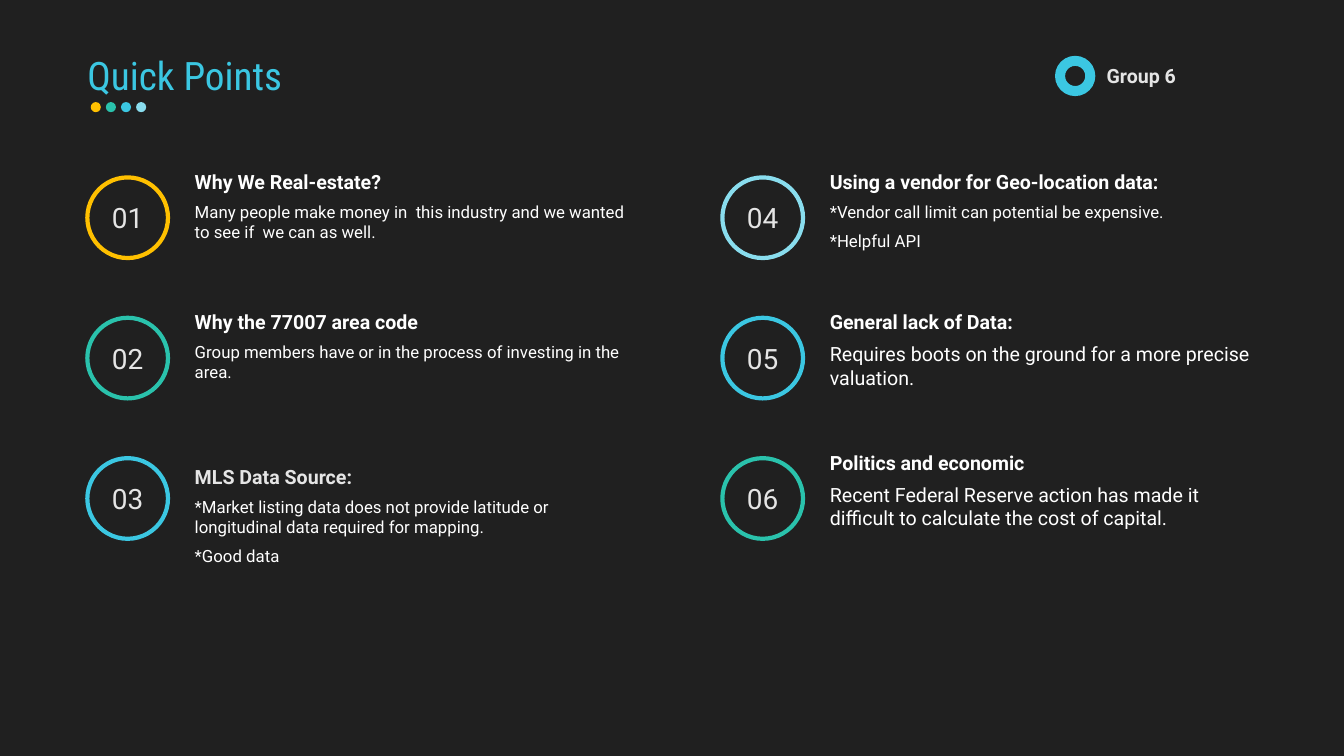
from pptx import Presentation
from pptx.dml.color import RGBColor
from pptx.enum import shapes as sh, text as tx
from pptx.util import Pt

DARK = RGBColor(0x20, 0x20, 0x20)
WHITE = RGBColor(0xFF, 0xFF, 0xFF)
PALE = RGBColor(0xE5, 0xE5, 0xE5)
GOLD = RGBColor(0xFF, 0xC0, 0x00)
GREEN = RGBColor(0x2A, 0xC2, 0xAC)
BLUE = RGBColor(0x3B, 0xC7, 0xE2)
SKY = RGBColor(0x89, 0xDD, 0xEE)

# Content
TITLE = "Quick Points"
TEAM = "Group 6"
DOTS = [GOLD, GREEN, BLUE, SKY]
# ring colour, heading, heading colour, lines, line size, text top from ring, text height
POINTS = [
    (GOLD, "Why We Real-estate?", WHITE,
     ["Many people make money in  this industry and we wanted to see if  we can as well."],
     18, -11.8, 85.7),
    (GREEN, "Why the 77007 area code", WHITE,
     ["Group members have or in the process of investing in the area."],
     18, -11.8, 85.7),
    (BLUE, "MLS Data Source:", PALE,
     ["*Market listing data does not provide latitude or longitudinal data required for mapping.",
      "*Good data"],
     18, 3.6, 116.6),
    (SKY, "Using a vendor for Geo-location data:", WHITE,
     ["*Vendor call limit can potential be expensive.", "*Helpful API"],
     18, -11.8, 94.3),
    (BLUE, "General lack of Data:", WHITE,
     ["Requires boots on the ground for a more precise valuation."],
     21, -11.8, 158.4),
    (GREEN, "Politics and economic", WHITE,
     ["Recent Federal Reserve action has made it difficult to calculate the cost of capital."],
     21, -11.8, 123.8),
]

# Grid
LEFT, TOP = 93.6, 190.1
COL, ROW, ROWS = 680.4, 150.4, 3
RING, INDENT, WIDTH = 86.4, 108, 475.2


def style(para, size, color, bold=False, face="Roboto"):
    font = para.font
    font.name, font.size, font.bold = face, Pt(size), bold
    font.color.rgb = color


def add_shape(slide, kind, x, y, size, fill=None, line=None):
    shape = slide.shapes.add_shape(kind, Pt(x), Pt(y), Pt(size), Pt(size))
    shape.shadow.inherit = False
    if fill is None:
        shape.fill.background()
    else:
        shape.fill.solid()
        shape.fill.fore_color.rgb = fill
    if line is None:
        shape.line.fill.background()
    else:
        shape.line.color.rgb = line
        shape.line.width = Pt(4.5)
    return shape


def add_text(slide, x, y, w, h, rows, after=0):
    """Each row is text, size, colour, bold."""
    frame = slide.shapes.add_textbox(Pt(x), Pt(y), Pt(w), Pt(h)).text_frame
    frame.word_wrap = True
    frame.margin_right = 0
    frame.text = "\n".join(row[0] for row in rows)
    for para, row in zip(frame.paragraphs, rows):
        style(para, *row[1:])
        para.space_after = Pt(after)


def add_point(slide, index, point):
    color, head, tint, lines, size, shift, high = point
    col, row = divmod(index, ROWS)
    x, y = LEFT + col * COL, TOP + row * ROW

    ring = add_shape(slide, sh.MSO_SHAPE.ROUNDED_RECTANGLE, x, y, RING, line=color)
    ring.adjustments[0] = 0.5
    frame = ring.text_frame
    frame.vertical_anchor = tx.MSO_ANCHOR.MIDDLE
    frame.text = f"{index + 1:02}"
    para = frame.paragraphs[0]
    para.alignment = tx.PP_ALIGN.CENTER
    style(para, 30, PALE)

    rows = [(head, 21, tint, True)] + [(line, size, WHITE) for line in lines]
    add_text(slide, x + INDENT, y + shift, WIDTH, high, rows, after=9)


def main():
    deck = Presentation()
    deck.slide_width, deck.slide_height = Pt(1440), Pt(810)
    slide = deck.slides.add_slide(deck.slide_layouts[5])
    slide.background.fill.solid()
    slide.background.fill.fore_color.rgb = DARK

    # Title
    title = slide.shapes.title
    title.left, title.top, title.width, title.height = Pt(93.6), Pt(56.2), Pt(950.4), Pt(54)
    frame = title.text_frame
    frame.text = TITLE
    frame.auto_size = tx.MSO_AUTO_SIZE.NONE
    frame.vertical_anchor = tx.MSO_ANCHOR.MIDDLE
    frame.margin_left = frame.margin_right = 0
    para = frame.paragraphs[0]
    para.alignment = tx.PP_ALIGN.LEFT
    para.line_spacing = 0.9
    style(para, 42, BLUE, face="Roboto Condensed")

    # Dots under the title
    for i, color in enumerate(DOTS):
        add_shape(slide, sh.MSO_SHAPE.OVAL, 97.2 + i * 16.2, 109.4, 10.8, fill=color)

    # Numbered points, down each column
    for i, point in enumerate(POINTS):
        add_point(slide, i, point)

    # Team mark and name
    add_shape(slide, sh.MSO_SHAPE.DONUT, 1130.4, 59.8, 43.2, fill=BLUE)
    add_text(slide, 1178.6, 64.8, 237.6, 32.4, [(TEAM, 21, PALE, True)])

    deck.save("out.pptx")


if __name__ == "__main__":
    main()
